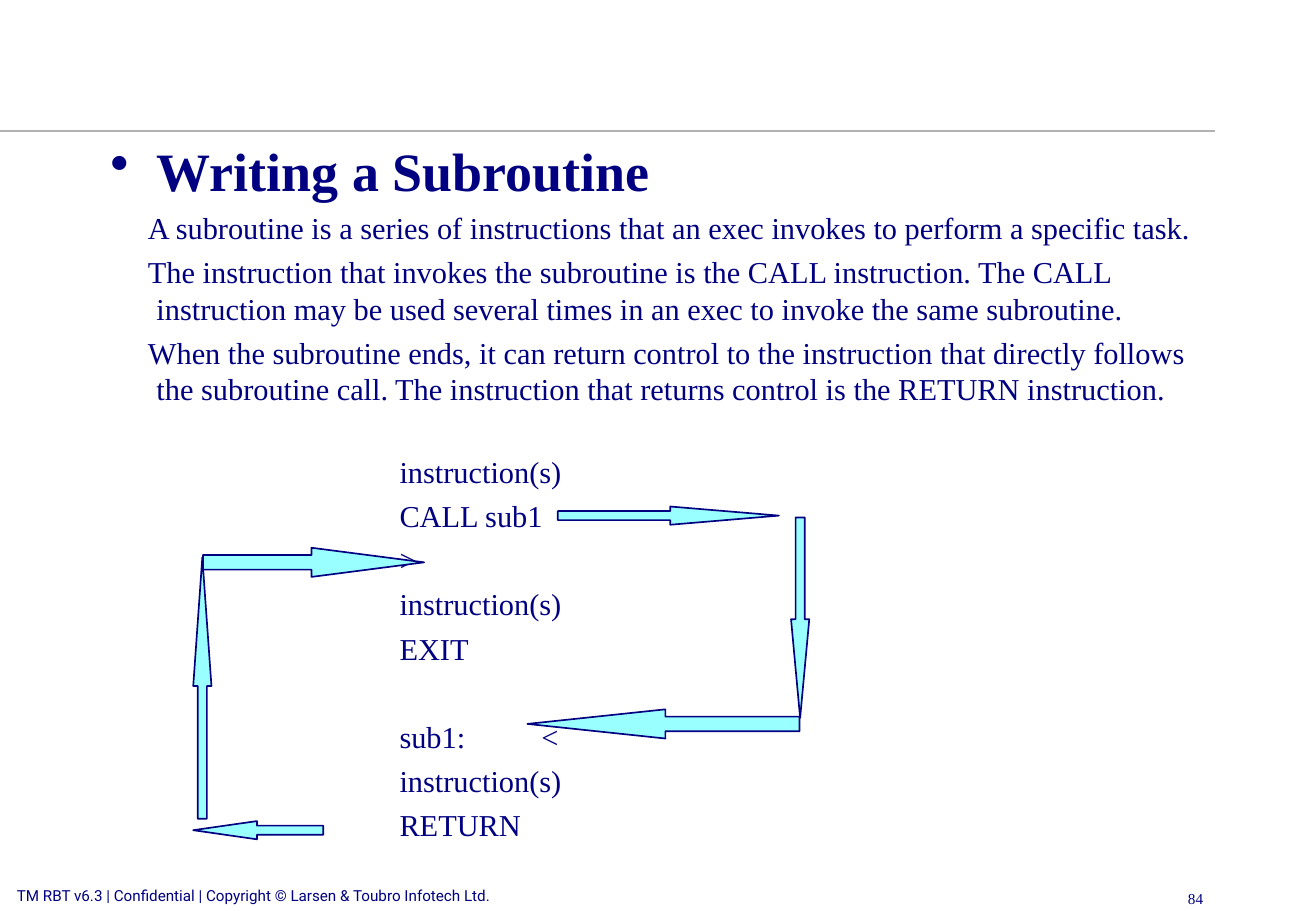
from dataclasses import dataclass

from lxml import etree
from pptx import Presentation
from pptx.dml.color import RGBColor
from pptx.enum.shapes import MSO_CONNECTOR, MSO_SHAPE
from pptx.enum.text import PP_ALIGN
from pptx.oxml.ns import qn
from pptx.util import Inches, Pt

NAVY = RGBColor(0x00, 0x00, 0x80)
AQUA = RGBColor(0x99, 0xFF, 0xFF)
GREY = RGBColor(0xB2, 0xB2, 0xB2)
SERIF = "Times New Roman"
SANS = "Roboto"
LEFT, RIGHT = PP_ALIGN.LEFT, PP_ALIGN.RIGHT
STRAIGHT = MSO_CONNECTOR.STRAIGHT
RIGHT_ARROW, LEFT_ARROW = MSO_SHAPE.RIGHT_ARROW, MSO_SHAPE.LEFT_ARROW
UP_ARROW, DOWN_ARROW = MSO_SHAPE.UP_ARROW, MSO_SHAPE.DOWN_ARROW
LINE_HEIGHT = 1.2
MARKER_GAP = 40.5


@dataclass(frozen=True)
class Line:
    text: str
    size: float = 18
    before: float = 4.5
    margin: float = 0.38
    indent: float = 0
    bold: bool = False
    bullet: bool = False
    marker: str = ""


@dataclass(frozen=True)
class Arrow:
    kind: MSO_SHAPE
    left: float
    top: float
    width: float
    height: float
    head: float


def explanation(text: str) -> Line:
    return Line(text, indent=-0.07)


def code(text: str, before: float = 4.5, marker: str = "") -> Line:
    return Line(text, before=before, margin=2.38, marker=marker)


BODY = (
    Line("Writing a Subroutine", size=32, before=0, indent=-0.38, bold=True, bullet=True),
    explanation("A subroutine is a series of instructions that an exec invokes "
                "to perform a specific task."),
    explanation("The instruction that invokes the subroutine is the CALL instruction. "
                "The CALL instruction may be used several times in an exec to invoke "
                "the same subroutine."),
    explanation("When the subroutine ends, it can return control to the instruction "
                "that directly follows the subroutine call. The instruction that "
                "returns control is the RETURN instruction."),
    code("instruction(s)", before=27.6),
    code("CALL sub1"),
    code(">"),
    code("instruction(s)"),
    code("EXIT"),
    code("sub1:", before=30.6, marker="<"),
    code("instruction(s)"),
    code("RETURN"),
)

ARROWS = (
    Arrow(RIGHT_ARROW, 4.59, 4.17, 1.82, 0.15, 5.96),
    Arrow(DOWN_ARROW, 6.51, 4.26, 0.15, 1.65, 5.41),
    Arrow(LEFT_ARROW, 4.34, 5.84, 2.24, 0.24, 4.73),
    Arrow(LEFT_ARROW, 1.59, 6.76, 1.07, 0.15, 3.5),
    Arrow(UP_ARROW, 1.59, 4.59, 0.15, 2.15, 7.05),
    Arrow(RIGHT_ARROW, 1.67, 4.51, 1.82, 0.24, 3.86),
)


def add_text_frame(slide, left: float, top: float, width: float, height: float):
    box = slide.shapes.add_textbox(Inches(left), Inches(top), Inches(width), Inches(height))
    box.text_frame.word_wrap = True
    return box.text_frame


def add_run(paragraph, text: str, font_name: str, size: float,
            bold: bool = False, tracking: float = 0) -> None:
    run = paragraph.add_run()
    run.text = text
    run.font.name = font_name
    run.font.size = Pt(size)
    run.font.bold = bold
    run.font.color.rgb = NAVY
    if tracking:
        run._r.get_or_add_rPr().set("spc", str(round(tracking * 100)))


def format_paragraph(paragraph, line: Line) -> None:
    properties = paragraph._p.get_or_add_pPr()
    properties.set("marL", str(Inches(line.margin)))
    properties.set("indent", str(Inches(line.indent)))
    if line.bullet:
        etree.SubElement(properties, qn("a:buChar")).set("char", "•")
    else:
        etree.SubElement(properties, qn("a:buNone"))
    paragraph.line_spacing = Pt(line.size * LINE_HEIGHT)
    paragraph.space_before = Pt(line.before)


def add_body(slide) -> None:
    frame = add_text_frame(slide, 0.81, 1.08, 9.2, 6)
    for index, line in enumerate(BODY):
        paragraph = frame.add_paragraph() if index else frame.paragraphs[0]
        format_paragraph(paragraph, line)
        add_run(paragraph, line.text, SERIF, line.size, line.bold)
        if line.marker:
            add_run(paragraph, " ", SERIF, line.size, tracking=MARKER_GAP)
            add_run(paragraph, line.marker, SERIF, line.size)


def add_footer(slide, text: str, font_name: str, left: float, top: float,
               width: float, height: float, alignment: PP_ALIGN) -> None:
    paragraph = add_text_frame(slide, left, top, width, height).paragraphs[0]
    paragraph.alignment = alignment
    add_run(paragraph, text, font_name, 9)


def add_rule(slide) -> None:
    rule = slide.shapes.add_connector(STRAIGHT, 0, Inches(1.08), Inches(10), Inches(1.08))
    rule.line.color.rgb = GREY
    rule.line.width = Pt(1)
    etree.SubElement(rule._element.spPr, qn("a:effectLst"))


def add_arrow(slide, arrow: Arrow) -> None:
    shape = slide.shapes.add_shape(arrow.kind, Inches(arrow.left), Inches(arrow.top),
                                   Inches(arrow.width), Inches(arrow.height))
    shape.adjustments[0] = 0.5
    shape.adjustments[1] = arrow.head
    shape.shadow.inherit = False
    shape.fill.solid()
    shape.fill.fore_color.rgb = AQUA
    shape.line.color.rgb = NAVY
    shape.line.width = Pt(1)


def main() -> None:
    presentation = Presentation()
    presentation.slide_width = Inches(10.83)
    presentation.slide_height = Inches(7.5)
    slide = presentation.slides.add_slide(presentation.slide_layouts[6])
    add_rule(slide)
    add_footer(slide, "TM RBT v6.3 | Confidential | Copyright © Larsen & Toubro Infotech Ltd.",
               SANS, 0.04, 7.25, 4.71, 0.2, LEFT)
    add_footer(slide, "84", SERIF, 7.67, 7.27, 2.33, 0.52, RIGHT)
    add_body(slide)
    for arrow in ARROWS:
        add_arrow(slide, arrow)
    presentation.save("out.pptx")


if __name__ == "__main__":
    main()
